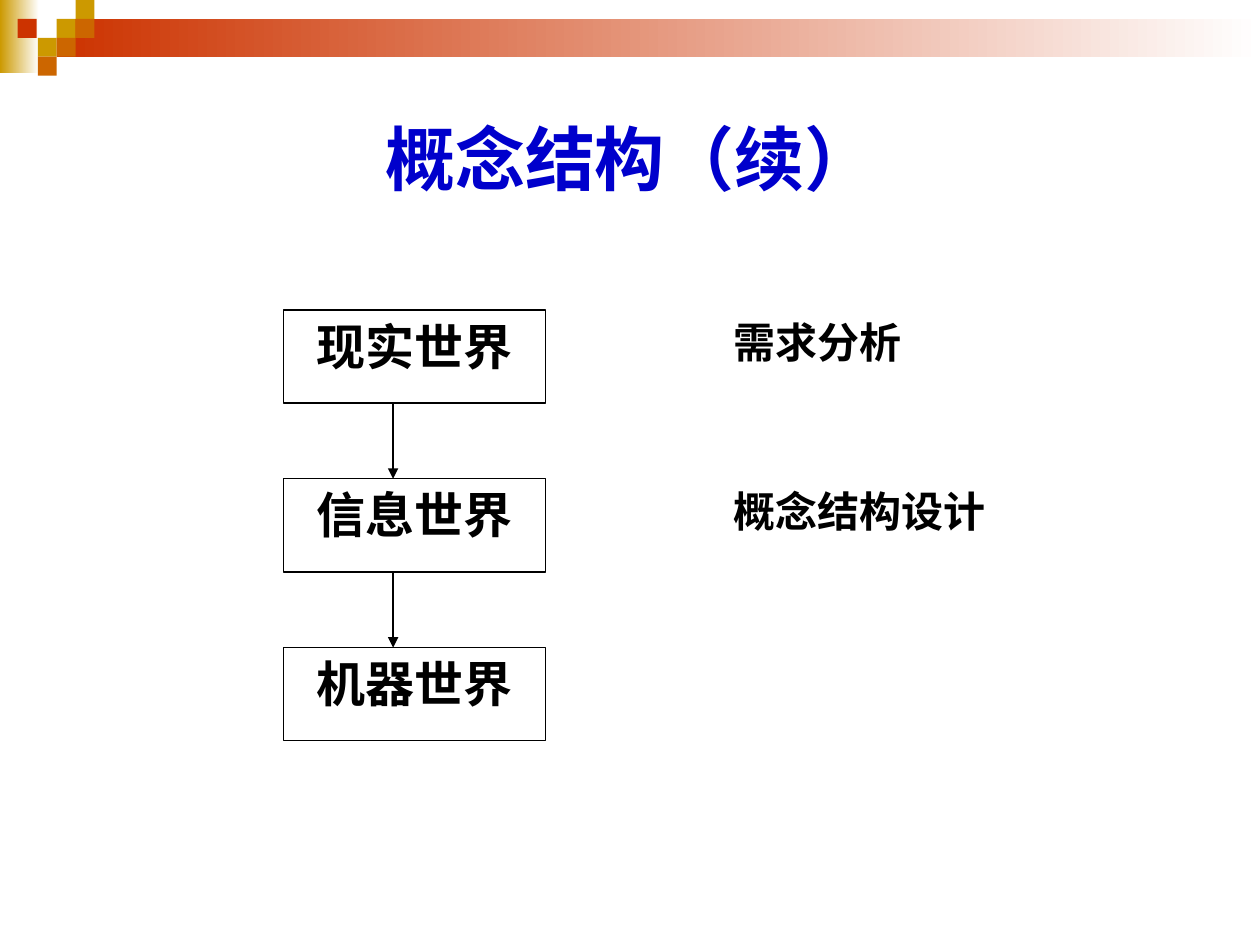
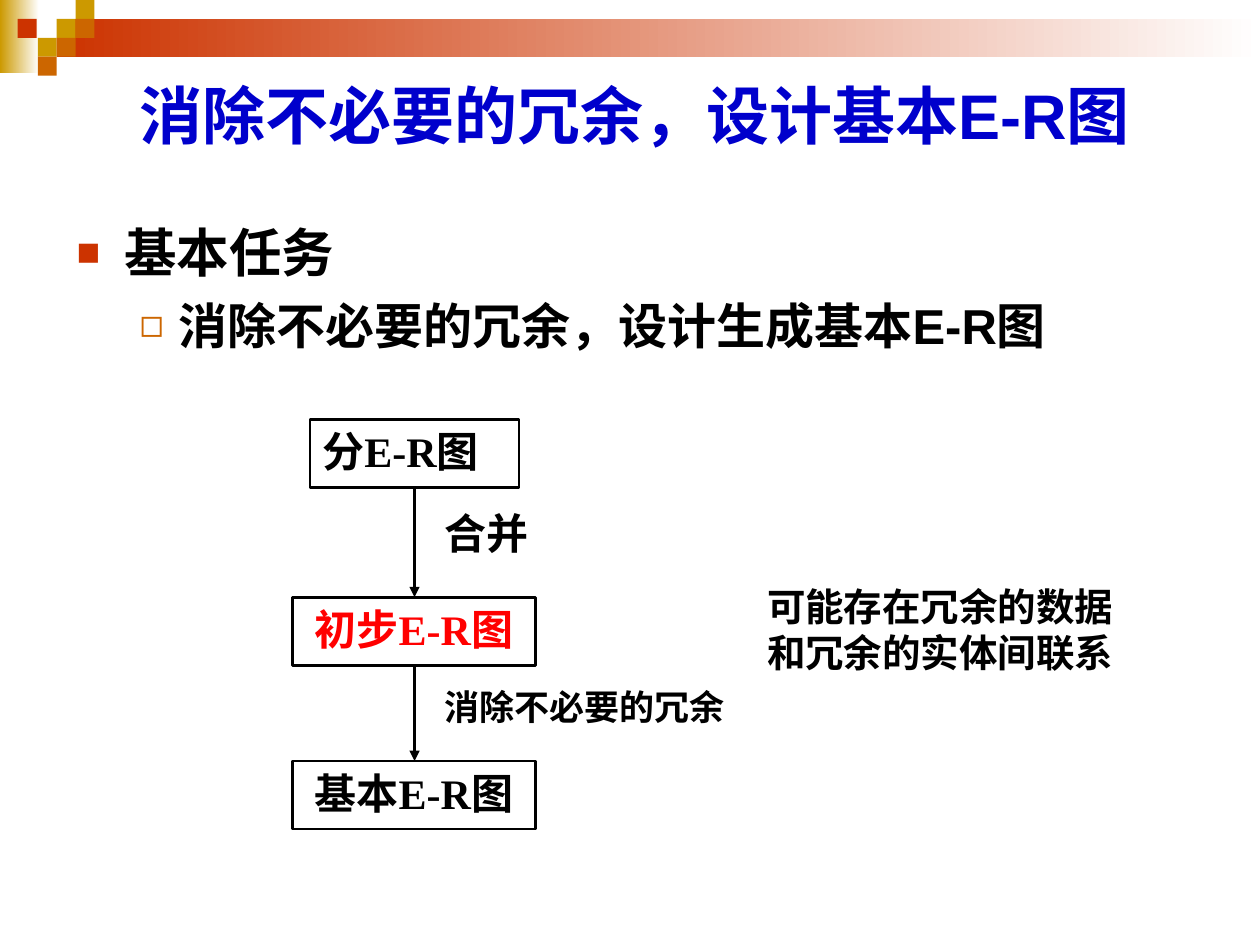
from dataclasses import dataclass

from lxml.etree import SubElement
from pptx import Presentation
from pptx.dml.color import RGBColor
from pptx.enum.shapes import MSO_CONNECTOR as Conn, MSO_SHAPE as Shp
from pptx.enum.text import MSO_ANCHOR as Anchor, PP_ALIGN as Align
from pptx.oxml.ns import qn
from pptx.util import Inches, Pt

BLACK, WHITE, RED, BLUE = "000000", "FFFFFF", "FF0000", "0000CC"
GOLD, BRICK, ORANGE = "CC9900", "CC3300", "CC6600"
SANS, SERIF = "Arial", "Times New Roman"
TILE = 0.15
BANDS = [(0, 0, 0.31, 0.58, GOLD), (0.45, 0.15, 9.55, 0.3, BRICK)]
TILES = [(0.45, 0.15, GOLD), (0.6, 0, GOLD), (0.6, 0.15, ORANGE), (0.3, 0.3, GOLD),
         (0.14, 0.15, BRICK), (0.45, 0.3, ORANGE), (0.3, 0.45, ORANGE)]


@dataclass
class Label:
    """Text in a frame, outlined when border is set."""
    lines: list[str]
    left: float
    top: float
    width: float
    height: float
    size: float = 24
    color: str = BLACK
    align: Align = Align.JUSTIFY
    font: str = SERIF
    anchor: Anchor = Anchor.TOP
    border: float = 0


@dataclass
class Bullet:
    """One level of the bulleted list."""
    text: str
    size: float
    mark: str
    color: str
    scale: int
    margin: float
    hanging: float
    before: float = 0


def rgb(color: str) -> RGBColor:
    """Turn a hex string into a colour."""
    return RGBColor.from_string(color)


def add_text(p, text: str, size: float, font: str, color: str) -> None:
    """Add one bold run to a paragraph."""
    r = p.add_run()
    r.text = text
    r.font.size, r.font.name, r.font.bold = Pt(size), font, True
    r.font.color.rgb = rgb(color)


def add_block(s, left: float, top: float, width: float, height: float):
    """Add a rectangle without shadow, outline or fill."""
    sp = s.shapes.add_shape(Shp.RECTANGLE, Inches(left), Inches(top),
                            Inches(width), Inches(height))
    sp.shadow.inherit = False
    sp.line.fill.background()
    sp.fill.background()
    return sp


def add_label(s, label: Label) -> None:
    """Draw a label as a text box or as an outlined rectangle."""
    frame = label.left, label.top, label.width, label.height
    if label.border:
        sp = add_block(s, *frame)
        sp.line.color.rgb = rgb(BLACK)
        sp.line.width = Pt(label.border)
    else:
        sp = s.shapes.add_textbox(*map(Inches, frame))
    tf = sp.text_frame
    tf.word_wrap = not (label.border and label.align == Align.CENTER)
    tf.vertical_anchor = label.anchor
    for i, line in enumerate(label.lines):
        p = tf.add_paragraph() if i else tf.paragraphs[0]
        p.alignment = label.align
        add_text(p, line, label.size, label.font, label.color)


def add_arrow(s, x: float, top: float, bottom: float, width: float) -> None:
    """Draw a downward arrow."""
    c = s.shapes.add_connector(Conn.STRAIGHT, Inches(x), Inches(top),
                               Inches(x), Inches(bottom))
    c.line.color.rgb = rgb(BLACK)
    c.line.width = Pt(width)
    SubElement(c.line._get_or_add_ln(), qn("a:tailEnd"), type="triangle")
    SubElement(c._element.spPr, qn("a:effectLst"))


def add_flow(s, boxes: list[Label], x: float) -> None:
    """Draw boxes in a column, joined by arrows."""
    for box in boxes:
        add_label(s, box)
    for upper, lower in zip(boxes, boxes[1:]):
        add_arrow(s, x, upper.top + upper.height, lower.top, upper.border)


def add_bullets(s, bullets: list[Bullet]) -> None:
    """Draw the bulleted list."""
    tf = s.shapes.add_textbox(Inches(0.51), Inches(1.7), Inches(9), Inches(4.25)).text_frame
    tf.word_wrap = True
    for i, b in enumerate(bullets):
        p = tf.add_paragraph() if i else tf.paragraphs[0]
        p.level, p.space_before = i, Pt(b.before)
        pPr = p._p.get_or_add_pPr()
        pPr.set("marL", str(Inches(b.margin)))
        pPr.set("indent", str(-Inches(b.hanging)))
        SubElement(SubElement(pPr, qn("a:buClr")), qn("a:srgbClr"), val=b.color)
        SubElement(pPr, qn("a:buSzPct"), val=str(b.scale * 1000))
        SubElement(pPr, qn("a:buFont"), typeface=SANS)
        SubElement(pPr, qn("a:buChar"), char=b.mark)
        add_text(p, b.text, b.size, SANS, BLACK)


def add_slide(prs, title: str, size: float, *frame: float):
    """Add a slide with the shared bands, tiles and title style."""
    s = prs.slides.add_slide(prs.slide_layouts[6])
    for *place, color in BANDS:
        fill = add_block(s, *place).fill
        fill.gradient()
        fill.gradient_angle = 0
        for stop, shade in zip(fill.gradient_stops, (color, WHITE)):
            stop.color.rgb = rgb(shade)
    for left, top, color in TILES:
        fill = add_block(s, left, top, TILE, TILE).fill
        fill.solid()
        fill.fore_color.rgb = rgb(color)
    add_label(s, Label([title], *frame, size=size, color=BLUE, align=Align.CENTER,
                       font=SANS, anchor=Anchor.MIDDLE))
    return s


def build_worlds(prs) -> None:
    """Build the slide on the three worlds."""
    s = add_slide(prs, "概念结构（续）", 40, 0.5, 0.5, 9, 1.5)
    first, step = 2.46, 1.34
    add_flow(s, [Label([name], 2.25, first + i * step, 2.08, 0.74, 28,
                       align=Align.CENTER, border=0.75)
                 for i, name in enumerate(["现实世界", "信息世界", "机器世界"])], 3.12)
    for i, (phase, width) in enumerate([("需求分析", 1.91), ("概念结构设计", 2.95)]):
        add_label(s, Label([phase], 5.72, first + i * step, width, 0.59))


def build_redundancy(prs) -> None:
    """Build the slide on removing redundancy."""
    s = add_slide(prs, "消除不必要的冗余，设计基本E-R图", 36, 0.43, 0.36, 9.21, 1.1)
    add_bullets(s, [
        Bullet("基本任务", 30, "■", BRICK, 75, 0.38, 0.38),
        Bullet("消除不必要的冗余，设计生成基本E-R图", 28, "◻", ORANGE, 80, 0.81, 0.31, 7),
    ])
    add_flow(s, [
        Label(["分E-R图"], 2.46, 3.33, 1.66, 0.54, border=1.5),
        Label(["初步E-R图"], 2.32, 4.74, 1.93, 0.54, color=RED, align=Align.CENTER, border=1.5),
        Label(["基本E-R图"], 2.32, 6.04, 1.93, 0.54, align=Align.CENTER, border=1.5),
    ], 3.29)
    for note in [
        Label(["合并"], 3.43, 3.98, 1.24, 0.43),
        Label(["消除不必要的冗余"], 3.43, 5.39, 3.03, 0.54, 20),
        Label(["可能存在冗余的数据", "和冗余的实体间联系"], 5.99, 4.58, 3.25, 0.83, 22),
    ]:
        add_label(s, note)


def main() -> None:
    """Build and save the presentation."""
    prs = Presentation()
    prs.slide_width, prs.slide_height = Inches(10), Inches(7.5)
    build_worlds(prs)
    build_redundancy(prs)
    prs.save("out.pptx")


if __name__ == "__main__":
    main()
